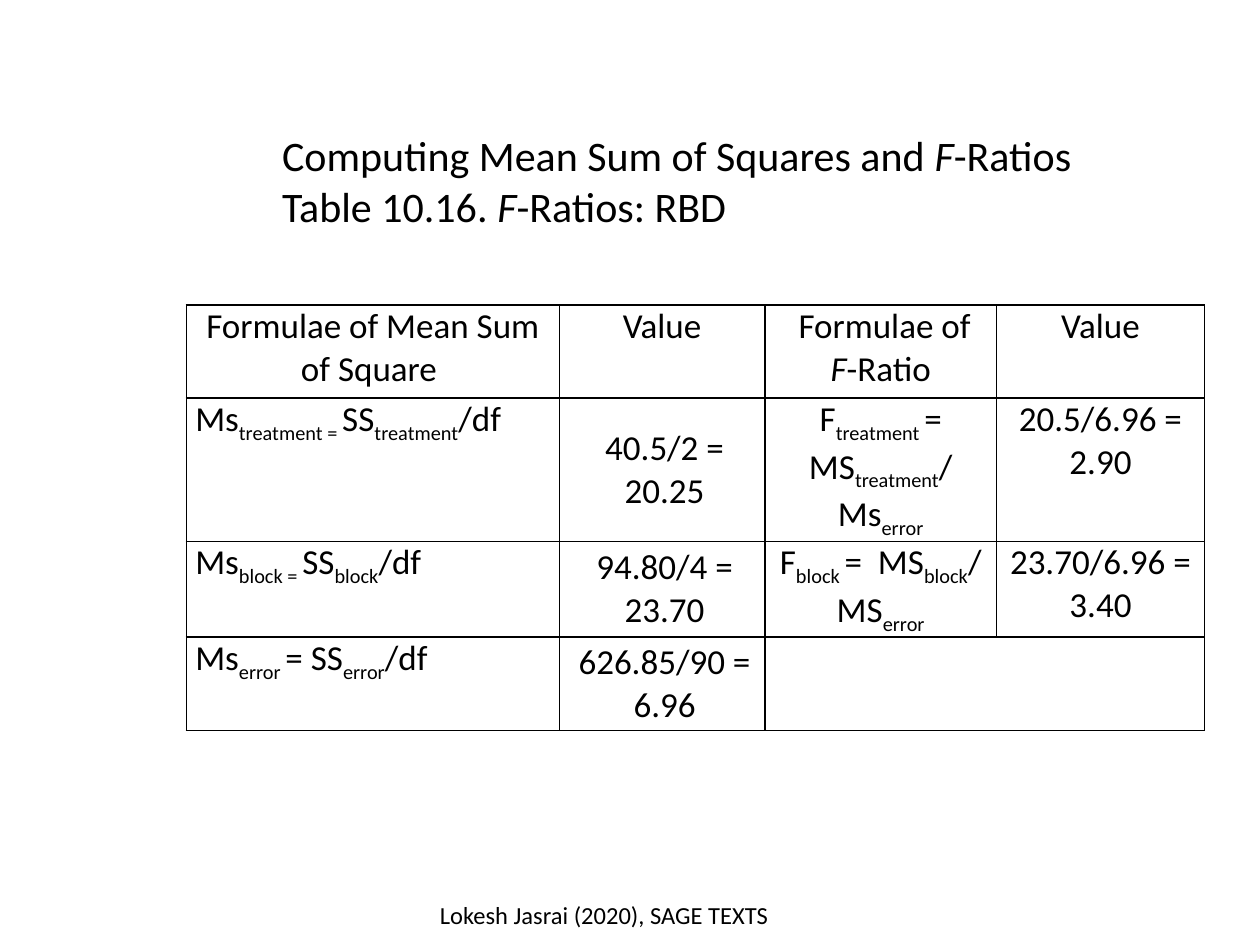
from dataclasses import dataclass

from lxml.etree import SubElement
from pptx import Presentation
from pptx.dml.color import RGBColor
from pptx.enum.text import MSO_ANCHOR, PP_ALIGN
from pptx.oxml.ns import qn
from pptx.util import Inches, Pt


@dataclass(frozen=True)
class Theme:
    font: str = "Calibri"
    ink: str = "000000"
    title: int = 24
    body: int = 20
    footer: int = 14
    border: float = 1


THEME = Theme()

# In the texts, *...* is italic and ~...~ is subscript
TITLE = ["Computing Mean Sum of Squares and *F*-Ratios",
         "Table 10.16. *F*-Ratios: RBD"]
COLUMNS = [2.96, 1.63, 1.84, 1.65]
ROW_HEIGHTS = [0.74, 1.11, 0.74, 0.74]
RATIOS = [
    ["Formulae of Mean Sum of Square ", "Value", " Formulae of *F*-Ratio", "Value"],
    ["Ms~treatment = ~SS~treatment~/df", "40.5/2 = 20.25",
     "F~treatment ~= MS~treatment~/ Ms~error~", "20.5/6.96 = 2.90"],
    ["Ms~block = ~SS~block~/df", "94.80/4 = 23.70",
     "F~block ~=  MS~block~/ MS~error~", "23.70/6.96 = 3.40"],
    ["Ms~error ~= SS~error~/df", "626.85/90 = 6.96", "", ""],
]
FOOTER = ["Lokesh Jasrai (2020), SAGE TEXTS"]


def write_marked(p, text, size):
    """Fill a paragraph with runs, reading the italic and subscript marks."""
    for i, part in enumerate(text.split("~")):
        for j, piece in enumerate(part.split("*")):
            if not piece:
                continue
            r = p.add_run()
            r.text = piece
            formats = {"name": THEME.font, "size": Pt(size), "italic": j % 2 == 1}
            for name, value in formats.items():
                setattr(r.font, name, value)
            r.font.color.rgb = RGBColor.from_string(THEME.ink)
            if i % 2:
                r.font._element.set("baseline", "-25000")


def add_text(slide, box, lines, size, align=PP_ALIGN.LEFT):
    tf = slide.shapes.add_textbox(*map(Inches, box)).text_frame
    tf.word_wrap = True
    for i, line in enumerate(lines):
        p = tf.add_paragraph() if i else tf.paragraphs[0]
        p.alignment = align
        write_marked(p, line, size)


def add_borders(cell):
    tcPr = cell._tc.get_or_add_tcPr()
    for side in ("a:lnL", "a:lnR", "a:lnT", "a:lnB"):
        ln = SubElement(tcPr, qn(side), w=str(Pt(THEME.border)))
        fill = SubElement(ln, qn("a:solidFill"))
        SubElement(fill, qn("a:srgbClr"), val=THEME.ink)


def add_ratio_table(slide, box):
    shape = slide.shapes.add_table(len(RATIOS), len(COLUMNS), *map(Inches, box))
    table = shape.table
    table.first_row = table.horz_banding = False
    for column, width in zip(table.columns, COLUMNS):
        column.width = Inches(width)
    for row, height in zip(table.rows, ROW_HEIGHTS):
        row.height = Inches(height)

    for i, texts in enumerate(RATIOS):
        for j, text in enumerate(texts):
            cell = table.cell(i, j)
            computed = i > 0 and j == 1
            formats = {
                "margin_left": Inches(0.07), "margin_right": Inches(0.07),
                "margin_top": 0, "margin_bottom": 0,
                "vertical_anchor": MSO_ANCHOR.MIDDLE if computed else MSO_ANCHOR.TOP,
            }
            for name, value in formats.items():
                setattr(cell, name, value)
            add_borders(cell)
            cell.fill.background()
            p = cell.text_frame.paragraphs[0]
            p.alignment = PP_ALIGN.LEFT if i and j == 0 else PP_ALIGN.CENTER
            if computed:
                p._p.get_or_add_pPr().set("marL", str(Inches(0.04)))
            write_marked(p, text, THEME.body)

    # The error row has no F-ratio
    table.cell(3, 2).merge(table.cell(3, 3))


def main():
    prs = Presentation()
    prs.slide_width, prs.slide_height = Inches(10), Inches(7.5)
    s = prs.slides.add_slide(prs.slide_layouts[6])
    add_text(s, (2.14, 0.98, 7.03, 0.91), TITLE, THEME.title)
    add_ratio_table(s, (1.48, 2.42, sum(COLUMNS), sum(ROW_HEIGHTS)))
    add_text(s, (3.01, 7.09, 3.57, 0.4), FOOTER, THEME.footer, PP_ALIGN.CENTER)
    prs.save("out.pptx")


if __name__ == "__main__":
    main()
